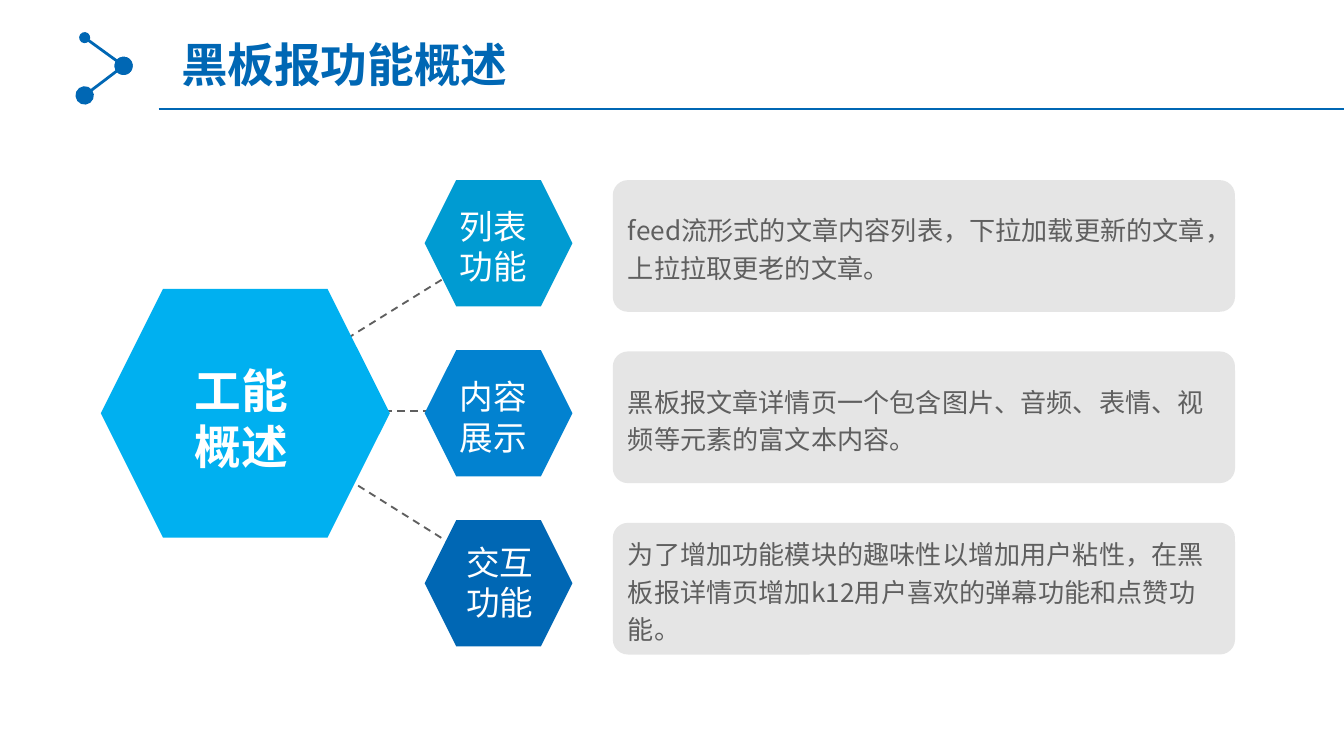
"""Build the slide that outlines the features of the class blackboard."""
from pptx import Presentation
from pptx.dml.color import RGBColor
from pptx.enum.dml import MSO_LINE
from pptx.enum.shapes import MSO_CONNECTOR, MSO_SHAPE
from pptx.enum.text import MSO_ANCHOR, PP_ALIGN
from pptx.oxml.ns import qn
from pptx.util import Inches, Pt
from lxml.etree import SubElement

COLORS = {"navy": "0067B4", "blue": "0282D0", "teal": "009BD2", "sky": "00B0F0",
          "gray": "5F5F5F", "card": "E5E5E5", "white": "FFFFFF"}
CJK = "Noto Sans CJK SC"
FEATURES = [
    ("列表功能", "teal", (3.32, 1.48, 0.71, 0.71),
     "feed流形式的文章内容列表，下拉加载更新的文章，上拉拉取更老的文章。"),
    ("内容展示", "blue", (3.32, 2.75, 0.85, 0.7),
     "黑板报文章详情页一个包含图片、音频、表情、视频等元素的富文本内容。"),
    ("交互功能", "navy", (3.37, 3.98, 0.89, 0.71),
     "为了增加功能模块的趣味性以增加用户粘性，在黑板报详情页增加k12用户喜欢的弹幕功能和点赞功能。"),
]


def rgb(name):
    return RGBColor.from_string(COLORS[name])


def write(tf, text, size, color, font=CJK, bold=False, spacing=None, wrap=True):
    tf.word_wrap = wrap
    for i, line in enumerate(text.split("\n")):
        p = tf.add_paragraph() if i else tf.paragraphs[0]
        p.alignment = PP_ALIGN.LEFT
        if spacing:
            p.line_spacing = spacing
        r = p.add_run()
        r.text = line
        r.font.name, r.font.size, r.font.bold = font, Pt(size), bold
        r.font.color.rgb = rgb(color)
        SubElement(r.font._element, qn("a:ea")).set("typeface", CJK)


def add_text(s, box, text, size, color, **fmt):
    sp = s.shapes.add_textbox(*map(Inches, box))
    write(sp.text_frame, text, size, color, **fmt)


def add_filled(s, kind, box, color):
    sp = s.shapes.add_shape(kind, *map(Inches, box))
    sp.shadow.inherit = False
    sp.fill.solid()
    sp.fill.fore_color.rgb = rgb(color)
    sp.line.fill.background()
    return sp


def add_card(s, box, text):
    sp = add_filled(s, MSO_SHAPE.ROUNDED_RECTANGLE, box, "card")
    sp.adjustments[0] = 0.115
    tf = sp.text_frame
    tf.vertical_anchor = MSO_ANCHOR.MIDDLE
    tf.margin_left = tf.margin_right = Inches(0.08)
    tf.margin_top = tf.margin_bottom = Inches(0.04)
    write(tf, text, 14, "gray", spacing=1.2)


def add_line(s, ends, color, width=1, dashed=False, dots=None):
    c = s.shapes.add_connector(MSO_CONNECTOR.STRAIGHT, *map(Inches, ends))
    c.line.color.rgb = rgb(color)
    c.line.width = Pt(width)
    if dashed:
        c.line.dash_style = MSO_LINE.DASH
    ln = c.line._get_or_add_ln()
    for tag, size in zip(("a:headEnd", "a:tailEnd"), dots or ()):
        SubElement(ln, qn(tag), {"type": "oval", "w": size, "len": size})
    SubElement(c._element.spPr, qn("a:effectLst"))


def main():
    prs = Presentation()
    prs.slide_width, prs.slide_height = Inches(10), Inches(10 * 9 / 16)
    s = prs.slides.add_slide(prs.slide_layouts[6])

    for ends in ((2.42, 3.46, 3.52, 4.15), (2.57, 3.06, 3.42, 3.06),
                 (2.42, 2.62, 3.45, 1.98)):
        add_line(s, ends, "gray", dashed=True)

    add_text(s, (1.25, 0.22, 2.66, 0.52), "黑板报功能概述", 25, "navy",
             font="Arial", bold=True, wrap=False)
    add_line(s, (0.63, 0.28, 0.92, 0.49), "navy", 1.5, dots=("med", "lg"))
    add_line(s, (0.92, 0.49, 0.63, 0.71), "navy", 1.5, dots=("lg", "lg"))
    add_line(s, (1.18, 0.81, 10, 0.81), "navy")

    add_filled(s, MSO_SHAPE.HEXAGON, (0.75, 2.15, 2.15, 1.85), "sky")
    add_text(s, (1.35, 2.64, 0.9, 0.94), "工能\n概述", 25, "white", bold=True)

    for i, (label, color, label_box, detail) in enumerate(FEATURES):
        add_filled(s, MSO_SHAPE.HEXAGON, (3.16, 1.34 + i * 2.53 / 2, 1.1, 0.94), color)
        add_text(s, label_box, label, 18, "white")
        add_card(s, (4.56, 1.34 + i * 2.55 / 2, 4.63, 0.98), detail)

    prs.save("out.pptx")


if __name__ == "__main__":
    main()
